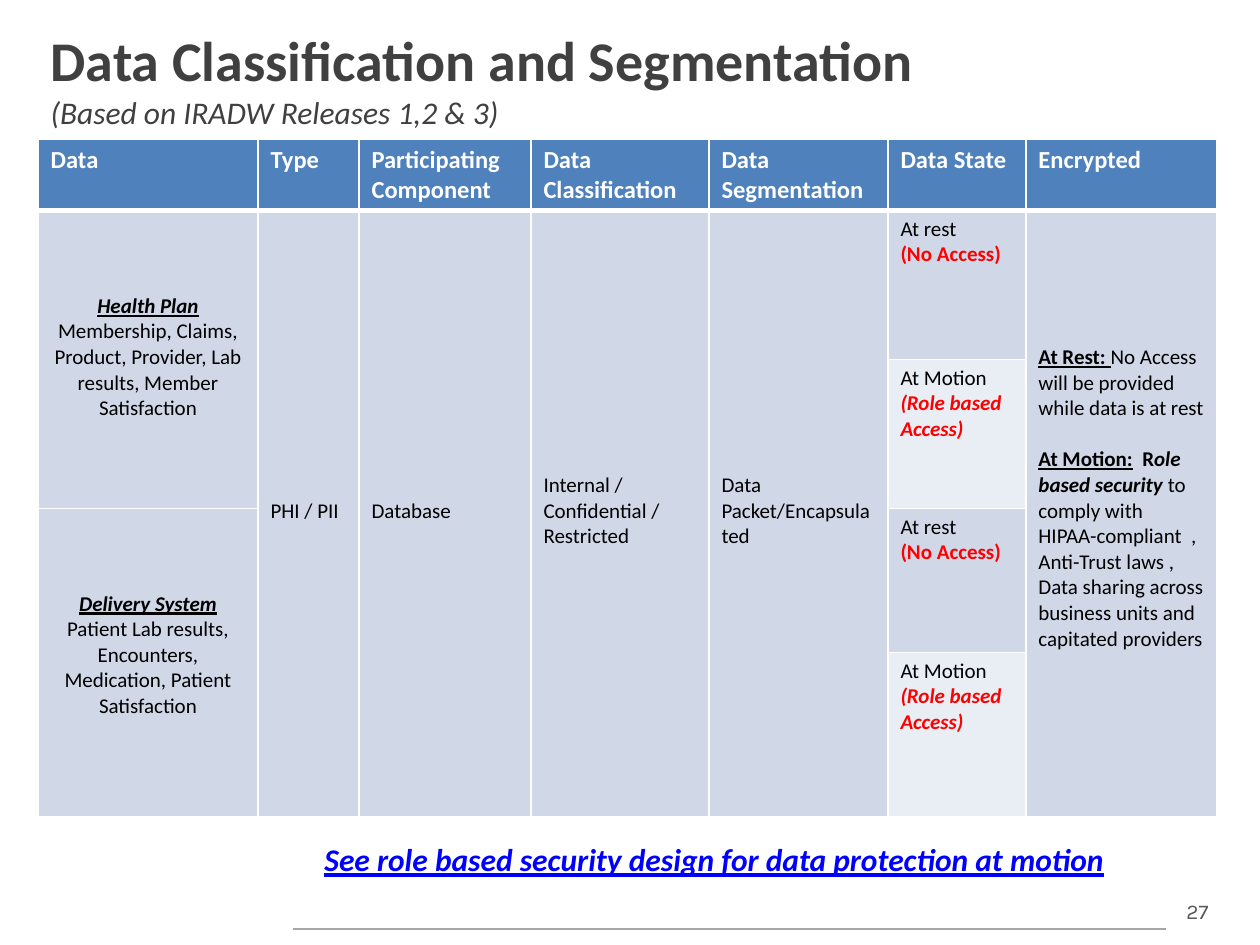
from lxml.etree import SubElement
from pptx import Presentation
from pptx.dml.color import RGBColor
from pptx.enum.shapes import MSO_CONNECTOR
from pptx.enum.text import MSO_ANCHOR, MSO_AUTO_SIZE, PP_ALIGN
from pptx.oxml.ns import qn
from pptx.util import Pt

EMU_PER_PX = 914400 / 126
LINE_PX = 25.63  # one line of 12 pt Calibri
CELL_MARGIN = 6

BLACK, WHITE, RED = "000000", "FFFFFF", "FF0000"
HEADER_FILL, DARK_BAND, LIGHT_BAND = "4F81BD", "D0D8E8", "E9EDF4"

HEADERS = ["Data", "Type", "Participating Component", "Data Classification",
           "Data Segmentation", "Data State", "Encrypted"]
COLUMN_WIDTHS = [220, 101, 172, 178, 179, 138, 191]
ROW_HEIGHTS = [66, 149, 149, 144, 164]

PLAIN = {}
HEADING = {"bold": True, "underline": True}
GROUP = {"bold": True, "italic": True, "underline": True}
NO_ACCESS = {"bold": True, "color": RED}
ROLE_BASED = {"bold": True, "italic": True, "color": RED}

AT_REST = [[("At rest", PLAIN)], [("(No Access)", NO_ACCESS)]]
# (row, column, rows spanned, lines above the text, paragraphs of runs)
BODY_CELLS = [
    (1, 0, 2, 3, [[("Health Plan ", GROUP),
                   ("Membership, Claims, Product, Provider, Lab results, "
                    "Member Satisfaction", PLAIN)]]),
    (3, 0, 2, 3, [[("Delivery System ", GROUP),
                   ("Patient Lab results, Encounters, Medication, "
                    "Patient Satisfaction", PLAIN)]]),
    (1, 1, 4, 11, [[("PHI / PII", PLAIN)]]),
    (1, 2, 4, 11, [[("Database", PLAIN)]]),
    (1, 3, 4, 10, [[("Internal / Confidential / Restricted", PLAIN)]]),
    (1, 4, 4, 10, [[("Data Packet/Encapsulated", PLAIN)]]),
    (1, 5, 1, 0, AT_REST),
    (2, 5, 1, 0, [[("At Motion", PLAIN)], [("(Role based Access)", ROLE_BASED)]]),
    (3, 5, 1, 0, AT_REST),
    (4, 5, 1, 0, [[("At Motion ", PLAIN), ("(Role based Access)", ROLE_BASED)]]),
    (1, 6, 4, 5, [
        [("At Rest: ", HEADING),
         ("No Access will be provided while data is at rest", PLAIN)],
        [("At Motion:", HEADING), ("  R", {"bold": True}),
         ("ole based security ", {"bold": True, "italic": True}),
         ("to comply with HIPAA-compliant  , Anti-Trust laws , Data sharing "
          "across business units and capitated providers", PLAIN)],
    ]),
]


def px(length):
    return round(length * EMU_PER_PX)


def rgb(color):
    return RGBColor.from_string(color)


def add_run(paragraph, text, size, color=BLACK, bold=False, italic=False,
            underline=False, face="Calibri"):
    run = paragraph.add_run()
    run.text = text
    font = run.font
    font.name, font.size = face, Pt(size)
    font.bold, font.italic, font.underline = bold, italic, underline
    font.color.rgb = rgb(color)


def style_cell(cell, fill, bottom_width=1):
    """Give a cell its white borders and its fill."""
    properties = cell._tc.get_or_add_tcPr()
    for side, width in (("L", 1), ("R", 1), ("T", 1), ("B", bottom_width)):
        border = SubElement(properties, qn(f"a:ln{side}"), w=str(Pt(width)))
        SubElement(SubElement(border, qn("a:solidFill")), qn("a:srgbClr"), val=WHITE)
    cell.fill.solid()
    cell.fill.fore_color.rgb = rgb(fill)


def fill_title(title, left, top, width, height):
    title.left, title.top = px(left), px(top)
    title.width, title.height = px(width), px(height)
    frame = title.text_frame
    frame.auto_size = MSO_AUTO_SIZE.NONE
    frame.vertical_anchor = MSO_ANCHOR.MIDDLE
    paragraph = frame.paragraphs[0]
    paragraph.alignment = PP_ALIGN.LEFT
    add_run(paragraph, "Data Classification and Segmentation", 32, "404040", bold=True)
    paragraph.add_line_break()
    add_run(paragraph, "(Based on IRADW Releases 1,2 & 3)", 18, "404040", italic=True)


def add_classification_table(slide, left, top):
    table = slide.shapes.add_table(
        len(ROW_HEIGHTS), len(COLUMN_WIDTHS), px(left), px(top),
        px(sum(COLUMN_WIDTHS)), px(sum(ROW_HEIGHTS))).table
    table.first_row = table.horz_banding = False
    for column, width in zip(table.columns, COLUMN_WIDTHS):
        column.width = px(width)
    for row, height in zip(table.rows, ROW_HEIGHTS):
        row.height = px(height)

    for column, header in enumerate(HEADERS):
        cell = table.cell(0, column)
        style_cell(cell, HEADER_FILL, bottom_width=3)
        add_run(cell.text_frame.paragraphs[0], header, 14, WHITE, bold=True)
        for row in range(1, len(ROW_HEIGHTS)):
            is_light = HEADERS[column] == "Data State" and row % 2 == 0
            style_cell(table.cell(row, column), LIGHT_BAND if is_light else DARK_BAND)

    for row, column, span, lines_above, paragraphs in BODY_CELLS:
        cell = table.cell(row, column)
        if span > 1:
            cell.merge(table.cell(row + span - 1, column))
        cell.margin_top = px(CELL_MARGIN + lines_above * LINE_PX)
        frame = cell.text_frame
        for index, runs in enumerate(paragraphs):
            paragraph = frame.add_paragraph() if index else frame.paragraphs[0]
            if column == 0:
                paragraph.alignment = PP_ALIGN.CENTER
            if index and HEADERS[column] == "Encrypted":
                paragraph.space_before = px(LINE_PX)
            for text, style in runs:
                add_run(paragraph, text, 12, **style)


def add_label(slide, left, top, width, height, text, size, color,
              alignment=PP_ALIGN.LEFT, **style):
    frame = slide.shapes.add_textbox(px(left), px(top), px(width), px(height)).text_frame
    frame.word_wrap = True
    frame.auto_size = MSO_AUTO_SIZE.SHAPE_TO_FIT_TEXT
    frame.paragraphs[0].alignment = alignment
    add_run(frame.paragraphs[0], text, size, color, **style)


def add_footer(slide, left, top, width):
    """Draw the footer rule with the page number above its right end."""
    rule = slide.shapes.add_connector(
        MSO_CONNECTOR.STRAIGHT, px(left), px(top), px(left + width), px(top))
    rule.line.color.rgb = rgb("A6A6A6")
    rule.line.width = Pt(0.75)
    SubElement(rule._element.spPr, qn("a:effectLst"))
    add_label(slide, left + width, top - 37, 63, 38, "27", 12, "595959",
              PP_ALIGN.CENTER, face="Karla")


def main():
    presentation = Presentation()
    presentation.slide_width, presentation.slide_height = px(1260), px(945)
    slide = presentation.slides.add_slide(presentation.slide_layouts[5])
    add_footer(slide, 293, 929, 873)
    fill_title(slide.shapes.title, 38, 21, 1179, 115)
    add_classification_table(slide, 38, 139)
    add_label(slide, 312, 834, 905, 50,
              "See role based security design for data protection at motion",
              18, "0000FF", **GROUP)
    presentation.save("out.pptx")


if __name__ == "__main__":
    main()
